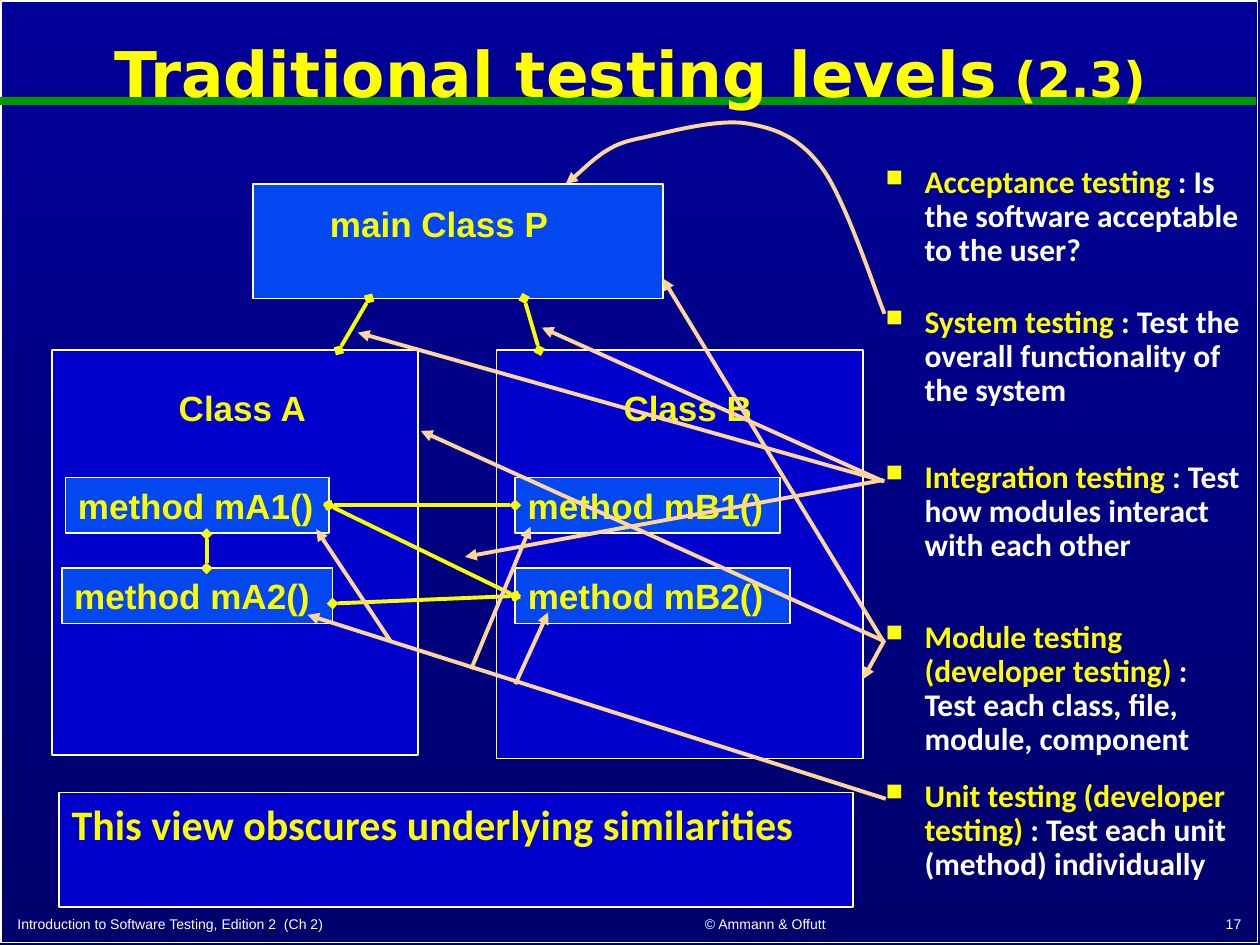
from dataclasses import dataclass

from lxml import etree
from pptx import Presentation
from pptx.dml.color import RGBColor
from pptx.enum.shapes import MSO_CONNECTOR, MSO_SHAPE
from pptx.enum.text import MSO_ANCHOR, PP_ALIGN
from pptx.oxml.ns import qn
from pptx.util import Pt

PX = 9144  # EMU per px, 100 px to the inch
BLANK_LAYOUT = 6
RECTANGLE = MSO_SHAPE.RECTANGLE
STRAIGHT = MSO_CONNECTOR.STRAIGHT
LEFT, CENTER, RIGHT = PP_ALIGN.LEFT, PP_ALIGN.CENTER, PP_ALIGN.RIGHT
TOP, MIDDLE, BOTTOM = MSO_ANCHOR.TOP, MSO_ANCHOR.MIDDLE, MSO_ANCHOR.BOTTOM
LEFT_SIDE, RIGHT_SIDE = 1, 3


@dataclass(frozen=True)
class Theme:
    sky_top: str = "000099"
    sky_bottom: str = "00006D"
    white: str = "FFFFFF"
    green: str = "009900"
    yellow: str = "FFFF00"
    label: str = "FAFD00"
    panel: str = "0000CC"
    block: str = "0347F1"
    pointer: str = "FFD699"
    title_font: str = "DejaVu Sans"
    label_font: str = "Arial"
    body_font: str = "Calibri"
    title_size: int = 36
    section_size: int = 28
    banner_size: int = 24
    label_size: int = 20
    body_size: int = 18
    footer_size: int = 8
    line_width: float = 2.25


THEME = Theme()


def color(value):
    return RGBColor.from_string(value)


def emu(*lengths):
    return [length * PX for length in lengths]


def write(shape, runs, font, align=LEFT, anchor=TOP, bold=True, wrap=True):
    """Fill the shape with one paragraph of (text, size, colour) runs."""
    frame = shape.text_frame
    frame.word_wrap = wrap
    frame.vertical_anchor = anchor
    paragraph = frame.paragraphs[0]
    paragraph.alignment = align
    for text, size, run_color in runs:
        run = paragraph.add_run()
        run.text = text
        run.font.name = font
        run.font.size = Pt(size)
        run.font.bold = bold
        run.font.color.rgb = color(run_color)
    return paragraph


def add_text(slide, box, runs, font, **options):
    return write(slide.shapes.add_textbox(*emu(*box)), runs, font, **options)


def add_label(slide, box, text, wrap=False):
    runs = [(text, THEME.label_size, THEME.label)]
    add_text(slide, box, runs, THEME.label_font, wrap=wrap)


def add_box(slide, box, fill=None):
    shape = slide.shapes.add_shape(RECTANGLE, *emu(*box))
    shape.shadow.inherit = False
    if fill:
        shape.fill.solid()
        shape.fill.fore_color.rgb = color(fill)
    else:
        shape.fill.background()
    shape.line.color.rgb = color(THEME.white)
    shape.line.width = Pt(1)
    return shape


def style_line(shape, line_color, width, head=None, tail=None):
    shape.line.color.rgb = color(line_color)
    shape.line.width = Pt(width)
    outline = shape.line._get_or_add_ln()
    for tag, kind in (("a:headEnd", head), ("a:tailEnd", tail)):
        if kind:
            etree.SubElement(outline, qn(tag), type=kind)


def add_line(slide, start, end, line_color, width, head=None, tail=None):
    connector = slide.shapes.add_connector(STRAIGHT, *emu(*start, *end))
    style_line(connector, line_color, width, head, tail)
    etree.SubElement(connector._element.spPr, qn("a:effectLst"))
    return connector


def add_link(slide, start, end):
    return add_line(slide, start, end, THEME.label, THEME.line_width, "diamond", "diamond")


def add_pointer(slide, start, end):
    add_line(slide, start, end, THEME.pointer, THEME.line_width, tail="triangle")


def add_curved_pointer(slide, points):
    """Draw cubic curves: a start point, then three points for each curve."""
    builder = slide.shapes.build_freeform(*points[0], scale=PX)
    builder.add_line_segments(points[1:], close=False)
    curve = builder.convert_to_shape()
    curve.shadow.inherit = False
    curve.fill.background()
    style_line(curve, THEME.pointer, THEME.line_width, tail="triangle")
    segments = list(curve._element.iter(qn("a:lnTo")))
    for first in range(0, len(segments), 3):
        bezier = etree.Element(qn("a:cubicBezTo"))
        segments[first].addprevious(bezier)
        for segment in segments[first:first + 3]:
            bezier.append(segment[0])
            segment.getparent().remove(segment)


def draw_frame(slide, box):
    left, top, width, height = box
    fill = slide.background.fill
    fill.gradient()
    fill.gradient_angle = 270
    for stop, stop_color in zip(fill.gradient_stops, (THEME.sky_top, THEME.sky_bottom)):
        stop.color.rgb = color(stop_color)
        stop.position = 0 if stop_color == THEME.sky_top else 1
    add_box(slide, (left + 1, top + 1, width - 3, height - 3))
    add_line(slide, (left, top + 80), (left + width - 3, top + 80), THEME.green, 4.5)
    footers = (
        (4, 420, "Introduction to Software Testing, Edition 2  (Ch 2)", LEFT),
        (449, 317, "© Ammann & Offutt", CENTER),
        (787, 208, "17", RIGHT),
    )
    for offset, footer_width, text, align in footers:
        add_text(slide, (left + offset, top + 717, footer_width, 28),
                 [(text, THEME.footer_size, THEME.white)], THEME.label_font,
                 align=align, anchor=BOTTOM, bold=False)


def draw_title(slide, box):
    runs = [("Traditional testing levels", THEME.title_size, THEME.yellow),
            (" (2.3)", THEME.section_size, THEME.yellow)]
    paragraph = add_text(slide, box, runs, THEME.title_font, align=CENTER, anchor=MIDDLE)
    paragraph.line_spacing = 0.9


def draw_class(slide, box, name, methods):
    """Draw a class panel; methods are (name, left offset, width). Return their boxes."""
    left, top = box[:2]
    add_box(slide, box, THEME.panel)
    add_label(slide, (left + 91, top + 24, 122, 44), name)
    blocks = []
    for index, (method, offset, width) in enumerate(methods):
        block = add_box(slide, (left + offset, top + 101 + 72 * index, width, 44), THEME.block)
        write(block, [(method, THEME.label_size, THEME.label)], THEME.label_font, anchor=MIDDLE)
        blocks.append(block)
    return blocks


def draw_main_class(slide, box):
    left, top = box[:2]
    add_box(slide, box, THEME.block)
    add_label(slide, (left + 51, top + 10, 199, 44), "main Class P", wrap=True)


def draw_calls(slide, class_a, class_b):
    """Link the main class to both classes, and the methods to one another."""
    for start, end in (((269, 278), (293, 237)), ((428, 278), (416, 237)),
                       ((164, 424), (164, 451))):
        add_link(slide, start, end)
    for caller, called in ((0, 1), (0, 0)):
        link = add_link(slide, (260, 402), (409, 402))
        link.begin_connect(class_a[caller], RIGHT_SIDE)
        link.end_connect(class_b[called], LEFT_SIDE)
    add_link(slide, (264, 479), (409, 473)).end_connect(class_b[1], LEFT_SIDE)


def draw_level(slide, box, term, meaning):
    runs = [(term, THEME.body_size, THEME.yellow), (meaning, THEME.body_size, THEME.white)]
    paragraph = add_text(slide, box, runs, THEME.body_font)
    paragraph.line_spacing = 0.9
    properties = paragraph._p.get_or_add_pPr()
    properties.set("marL", str(31 * PX))
    properties.set("indent", str(-31 * PX))
    etree.SubElement(properties, qn("a:buSzPct"), val="75000")
    etree.SubElement(properties, qn("a:buChar"), char="■")


def draw_banner(slide, box):
    runs = [("This view obscures underlying similarities", THEME.banner_size, THEME.label)]
    write(add_box(slide, box, THEME.panel), runs, THEME.body_font)


LEVELS = (
    (127, 111, "Acceptance testing", " : Is the software acceptable to the user?"),
    (238, 116, "System testing ", ": Test the overall functionality of the system"),
    (361, 121, "Integration testing", " : Test how modules interact with each other"),
    (488, 91, "Module testing (developer testing)", " : Test each class, file, module, component"),
    (614, 87, "Unit testing (developer testing) ", ": Test each unit (method) individually"),
)
POINTERS = (
    ((701, 382), (430, 260)), ((702, 382), (284, 264)), ((701, 381), (369, 442)),
    ((702, 509), (334, 342)), ((702, 508), (685, 539)), ((701, 509), (526, 221)),
    ((703, 634), (244, 488)), ((310, 509), (251, 420)), ((374, 531), (421, 418)),
    ((409, 543), (435, 486)),
)
SYSTEM_CURVE = (
    (702, 249), (694, 229), (671, 159), (653, 134), (635, 109), (616, 102), (593, 98),
    (569, 94), (530, 105), (511, 109), (492, 113), (489, 115), (479, 121),
    (469, 128), (456, 141), (449, 146),
)


def main():
    presentation = Presentation()
    presentation.slide_width, presentation.slide_height = emu(1000, 750)
    slide = presentation.slides.add_slide(presentation.slide_layouts[BLANK_LAYOUT])
    draw_frame(slide, (0, 0, 1000, 750))
    draw_title(slide, (5, 11, 990, 100))
    class_a = draw_class(slide, (41, 278, 291, 321), "Class A",
                         (("method mA1()", 11, 209), ("method mA2()", 8, 215)))
    class_b = draw_class(slide, (394, 278, 291, 324), "Class B",
                         (("method mB1()", 15, 210), ("method mB2()", 15, 218)))
    draw_main_class(slide, (201, 146, 325, 91))
    draw_calls(slide, class_a, class_b)
    for top, height, term, meaning in LEVELS:
        draw_level(slide, (693, top, 303, height), term, meaning)
    for start, end in POINTERS:
        add_pointer(slide, start, end)
    add_curved_pointer(slide, SYSTEM_CURVE)
    draw_banner(slide, (47, 629, 630, 91))
    presentation.save("out.pptx")


if __name__ == "__main__":
    main()
